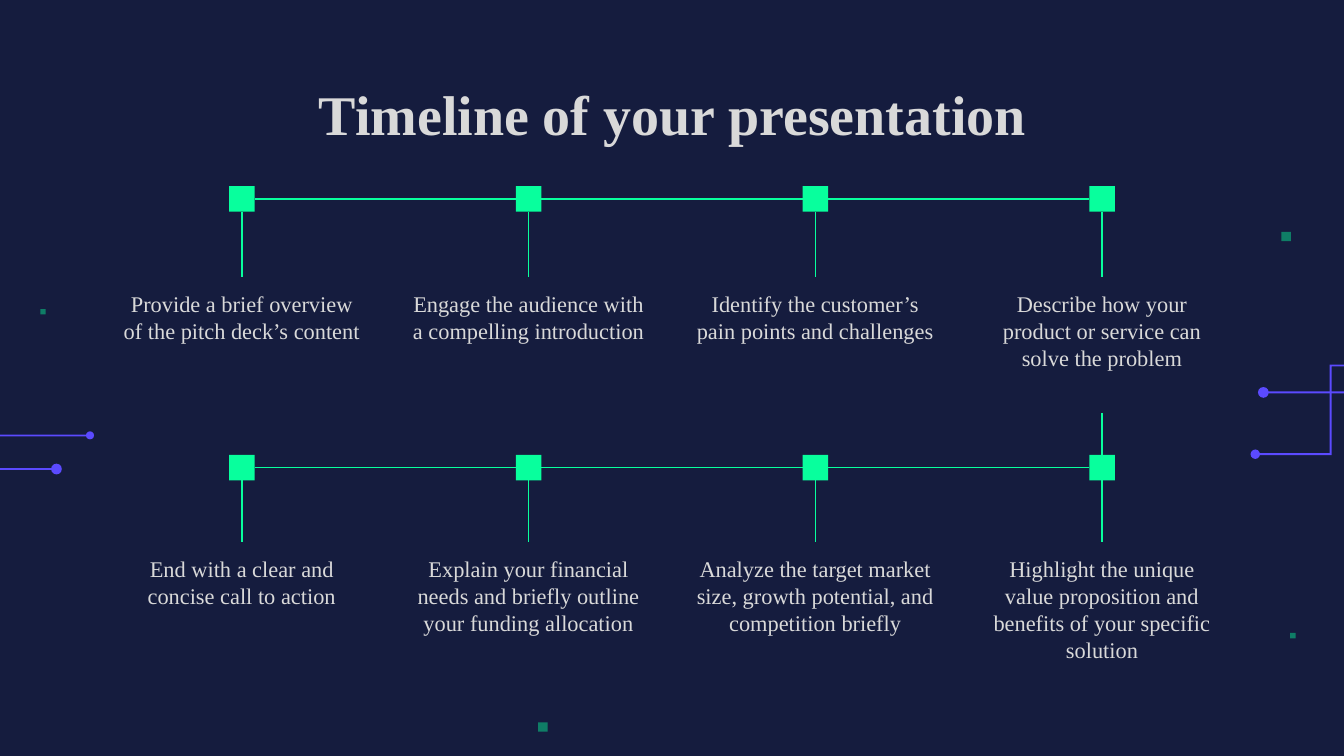
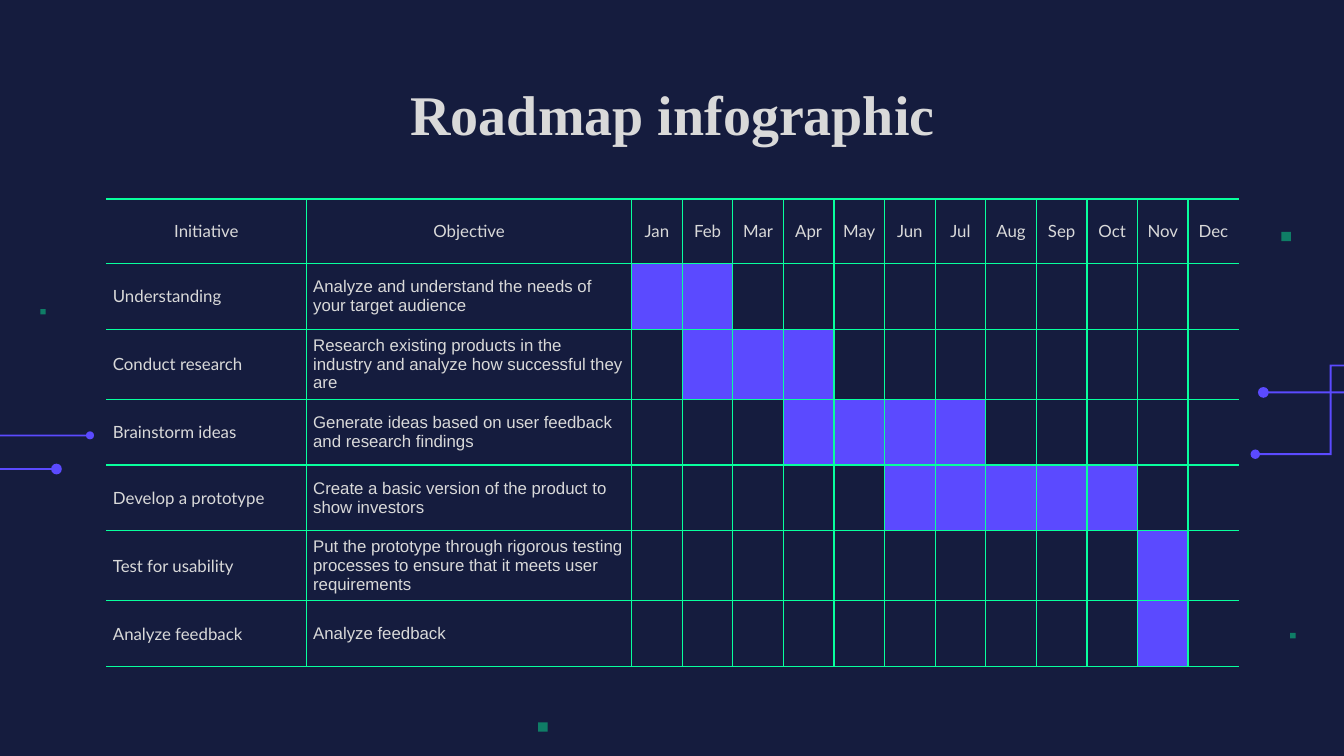
from itertools import pairwise
from typing import NamedTuple

from lxml import etree
from pptx import Presentation
from pptx.dml.color import RGBColor
from pptx.enum import shapes, text
from pptx.oxml.ns import qn
from pptx.util import Inches, Pt

NAVY = RGBColor(0x15, 0x1C, 0x3E)
GREEN = RGBColor(0x08, 0xFF, 0x9D)
VIOLET = RGBColor(0x5B, 0x4A, 0xFF)
LIGHT = RGBColor(0xD9, 0xD9, 0xD9)

SERIF, SANS, LABEL = "Times New Roman", "Arial", "Lato"
HAIRLINE = Pt(0.75)
TRACE_WIDTH = Pt(1)
SQUARE, ROUND = shapes.MSO_SHAPE.RECTANGLE, shapes.MSO_SHAPE.OVAL
TITLE_LAYOUT = 5


class Mark(NamedTuple):
    """A small square or dot, placed by its centre."""
    x: float
    y: float
    size: float


class StepRow(NamedTuple):
    marker_y: float
    text_y: float
    steps: list[str]


class Initiative(NamedTuple):
    name: str
    objective: str
    first_month: int
    last_month: int


SPARKS = [Mark(4.04, 5.41, 0.07), Mark(9.57, 1.76, 0.07),
          Mark(0.32, 2.32, 0.04), Mark(9.62, 4.73, 0.04)]
TRACE_ENDS = [Mark(9.4, 2.92, 0.08), Mark(9.34, 3.38, 0.07),
              Mark(0.67, 3.24, 0.06), Mark(0.42, 3.49, 0.08)]
TRACES = [
    [(9.43, 2.92), (11.17, 2.92), (11.17, 3.38), (12, 3.38)],
    [(9.34, 3.38), (9.9, 3.38), (9.9, 2.72), (11.86, 2.72)],
    [(-2.86, 3.03), (-2.37, 3.03), (-2.37, 3.49), (0.39, 3.49)],
    [(-2.91, 3.3), (-1.9, 3.3), (-1.9, 3.61), (-0.02, 3.61), (-0.02, 3.24), (0.67, 3.24)],
]

STEP_ROWS = [
    StepRow(1.48, 2.06, [
        "Provide a brief overview of the pitch deck’s content",
        "Engage the audience with a compelling introduction",
        "Identify the customer’s pain points and challenges",
        "Describe how your product or service can solve the problem",
    ]),
    StepRow(3.48, 4.03, [
        "End with a clear and concise call to action",
        "Explain your financial needs and briefly outline your funding allocation",
        "Analyze the target market size, growth potential, and competition briefly",
        "Highlight the unique value proposition and benefits of your specific solution",
    ]),
]
FIRST_STEP_X, LAST_STEP_X = 1.8, 8.2
MARKER = 0.19
STEP_WIDTH, STEP_HEIGHT = 1.97, 1.01

MONTHS = "Jan Feb Mar Apr May Jun Jul Aug Sep Oct Nov Dec".split()
TABLE_WIDTH, NAME_WIDTH, OBJECTIVE_WIDTH = 8.43, 1.49, 2.42
INITIATIVES = [
    Initiative("Understanding",
               "Analyze and understand the needs of your target audience", 1, 2),
    Initiative("Conduct research",
               "Research existing products in the industry and analyze how "
               "successful they are", 2, 4),
    Initiative("Brainstorm ideas",
               "Generate ideas based on user feedback and research findings", 4, 7),
    Initiative("Develop a prototype",
               "Create a basic version of the product to show investors", 6, 10),
    Initiative("Test for usability",
               "Put the prototype through rigorous testing processes to ensure "
               "that it meets user requirements", 11, 11),
    Initiative("Analyze feedback", "Analyze feedback", 11, 11),
]


def style_paragraph(paragraph, font_name: str, size: float,
                    align=text.PP_ALIGN.CENTER, bold: bool = False) -> None:
    paragraph.alignment = align
    font = paragraph.font
    font.name, font.size, font.bold = font_name, Pt(size), bold
    font.color.rgb = LIGHT


def paint(shape, color: RGBColor) -> None:
    shape.shadow.inherit = False
    shape.fill.solid()
    shape.fill.fore_color.rgb = color
    shape.line.fill.background()


def add_mark(slide, preset, mark: Mark, color: RGBColor):
    size = Inches(mark.size)
    shape = slide.shapes.add_shape(preset, Inches(mark.x) - size // 2,
                                   Inches(mark.y) - size // 2, size, size)
    paint(shape, color)
    return shape


def add_line(slide, start: tuple[float, float], end: tuple[float, float]) -> None:
    ends = [Inches(value) for value in (*start, *end)]
    line = slide.shapes.add_connector(shapes.MSO_CONNECTOR.STRAIGHT, *ends)
    line.line.color.rgb = GREEN
    line.line.width = HAIRLINE
    etree.SubElement(line._element.spPr, qn("a:effectLst"))


def add_trace(slide, route: list[tuple[float, float]]) -> None:
    """Draw a right-angled route as a thin filled band with mitred corners."""
    points = [(Inches(x), Inches(y)) for x, y in route]
    normals = []
    for (x1, y1), (x2, y2) in pairwise(points):
        length = abs(x2 - x1) + abs(y2 - y1)
        normals.append(((y1 - y2) // length, (x2 - x1) // length))
    corners = [(ax + bx, ay + by) for (ax, ay), (bx, by) in pairwise(normals)]
    offsets = [normals[0], *corners, normals[-1]]
    half = TRACE_WIDTH // 2
    one_side, other_side = (
        [(x + dx * reach, y + dy * reach) for (x, y), (dx, dy) in zip(points, offsets)]
        for reach in (half, -half))
    builder = slide.shapes.build_freeform(*one_side[0])
    builder.add_line_segments(one_side[1:] + other_side[::-1], close=True)
    paint(builder.convert_to_shape(), VIOLET)


def add_circuits(slide) -> None:
    for route in TRACES:
        add_trace(slide, route)
    for end in TRACE_ENDS:
        add_mark(slide, ROUND, end, VIOLET)


def add_sparks(slide) -> None:
    for spark in SPARKS:
        square = add_mark(slide, SQUARE, spark, GREEN)
        color = square._element.spPr.find(qn("a:solidFill"))[0]
        etree.SubElement(color, qn("a:alpha"), val="43000")


def set_frame(frame, content: str) -> None:
    frame.text = content
    frame.word_wrap = True
    frame.auto_size = text.MSO_AUTO_SIZE.NONE
    frame.vertical_anchor = text.MSO_ANCHOR.TOP
    frame.margin_left = frame.margin_right = Inches(0.1)
    frame.margin_top = frame.margin_bottom = Inches(0.1)


def add_titled_slide(prs, heading: str):
    slide = prs.slides.add_slide(prs.slide_layouts[TITLE_LAYOUT])
    add_circuits(slide)
    add_sparks(slide)
    title = slide.shapes.title
    title.left, title.top = Inches(0.79), Inches(0.49)
    title.width, title.height = Inches(8.43), Inches(0.63)
    set_frame(title.text_frame, heading)
    style_paragraph(title.text_frame.paragraphs[0], SERIF, 30, bold=True)
    return slide


def add_step_text(slide, x: float, y: float, step: str) -> None:
    box = slide.shapes.add_textbox(Inches(x - STEP_WIDTH / 2), Inches(y),
                                   Inches(STEP_WIDTH), Inches(STEP_HEIGHT))
    set_frame(box.text_frame, step)
    style_paragraph(box.text_frame.paragraphs[0], SERIF, 12)


def build_timeline(prs) -> None:
    slide = add_titled_slide(prs, "Timeline of your presentation")
    half = MARKER / 2
    for row in STEP_ROWS:
        pitch = (LAST_STEP_X - FIRST_STEP_X) / (len(row.steps) - 1)
        for i, step in enumerate(row.steps):
            x = FIRST_STEP_X + i * pitch
            add_mark(slide, SQUARE, Mark(x, row.marker_y, MARKER), GREEN)
            add_step_text(slide, x, row.text_y, step)
            add_line(slide, (x, row.marker_y + half), (x, row.text_y))
            if i:
                add_line(slide, (x - pitch + half, row.marker_y),
                         (x - half, row.marker_y))
    upper, lower = STEP_ROWS
    add_line(slide, (LAST_STEP_X, upper.text_y + STEP_HEIGHT),
             (LAST_STEP_X, lower.marker_y - half))


def set_borders(cell, sides: str) -> None:
    """Draw green borders on the given sides, a subset of LRTB, and clear the rest."""
    properties = cell._tc.get_or_add_tcPr()
    for side in "LRTB":
        line = etree.SubElement(properties, qn(f"a:ln{side}"), w=str(HAIRLINE))
        if side in sides:
            fill = etree.SubElement(line, qn("a:solidFill"))
            etree.SubElement(fill, qn("a:srgbClr"), val=str(GREEN))
        else:
            etree.SubElement(line, qn("a:noFill"))


def fill_cell(cell, content: str, font_name: str, align, margin: float,
              sides: str, active: bool) -> None:
    set_borders(cell, sides)
    if active:
        cell.fill.solid()
        cell.fill.fore_color.rgb = VIOLET
    else:
        cell.fill.background()
    cell.vertical_anchor = text.MSO_ANCHOR.MIDDLE
    cell.margin_left = cell.margin_right = Inches(margin)
    cell.margin_top = cell.margin_bottom = Inches(margin)
    cell.text = content
    style_paragraph(cell.text_frame.paragraphs[0], font_name, 9, align)


def build_roadmap(prs) -> None:
    slide = add_titled_slide(prs, "Roadmap infographic")
    month_width = (TABLE_WIDTH - NAME_WIDTH - OBJECTIVE_WIDTH) / len(MONTHS)
    widths = [NAME_WIDTH, OBJECTIVE_WIDTH] + [month_width] * len(MONTHS)
    heights = [0.48] + [0.49] * len(INITIATIVES)
    table = slide.shapes.add_table(len(heights), len(widths), Inches(0.79), Inches(1.48),
                                   Inches(TABLE_WIDTH), Inches(sum(heights))).table
    table.first_row = table.horz_banding = False
    table_properties = table._tbl.tblPr
    table_properties.remove(table_properties.find(qn("a:tableStyleId")))
    for column, width in zip(table.columns, widths):
        column.width = Inches(width)
    for row, height in zip(table.rows, heights):
        row.height = Inches(height)

    header = ["Initiative", "Objective", *MONTHS]
    rows = [header] + [[item.name, item.objective] + [""] * len(MONTHS)
                       for item in INITIATIVES]
    for r, contents in enumerate(rows):
        for c, content in enumerate(contents):
            sides = "RTB" if c == 0 else "LTB" if c == len(header) - 1 else "LRTB"
            if r == 0:
                fill_cell(table.cell(r, c), content, LABEL, text.PP_ALIGN.CENTER,
                          0, sides, False)
            else:
                item = INITIATIVES[r - 1]
                active = item.first_month <= c - 1 <= item.last_month
                fill_cell(table.cell(r, c), content, SANS if c == 1 else LABEL,
                          text.PP_ALIGN.LEFT, 0.05, sides, active)


def main() -> None:
    prs = Presentation()
    prs.slide_width = Inches(10)
    prs.slide_height = prs.slide_width * 9 // 16
    background = prs.slide_master.background.fill
    background.solid()
    background.fore_color.rgb = NAVY
    build_timeline(prs)
    build_roadmap(prs)
    prs.save("out.pptx")


if __name__ == "__main__":
    main()
